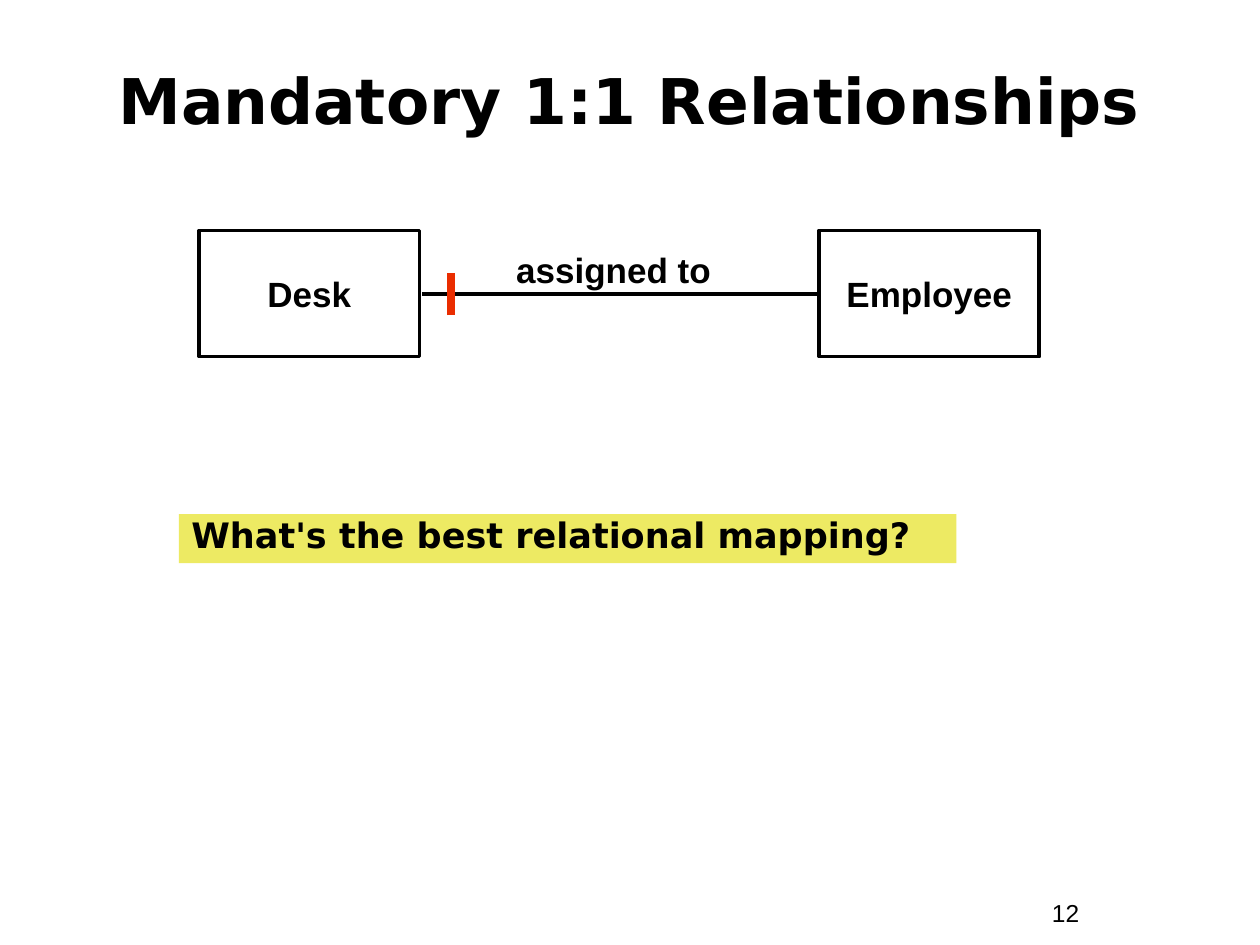
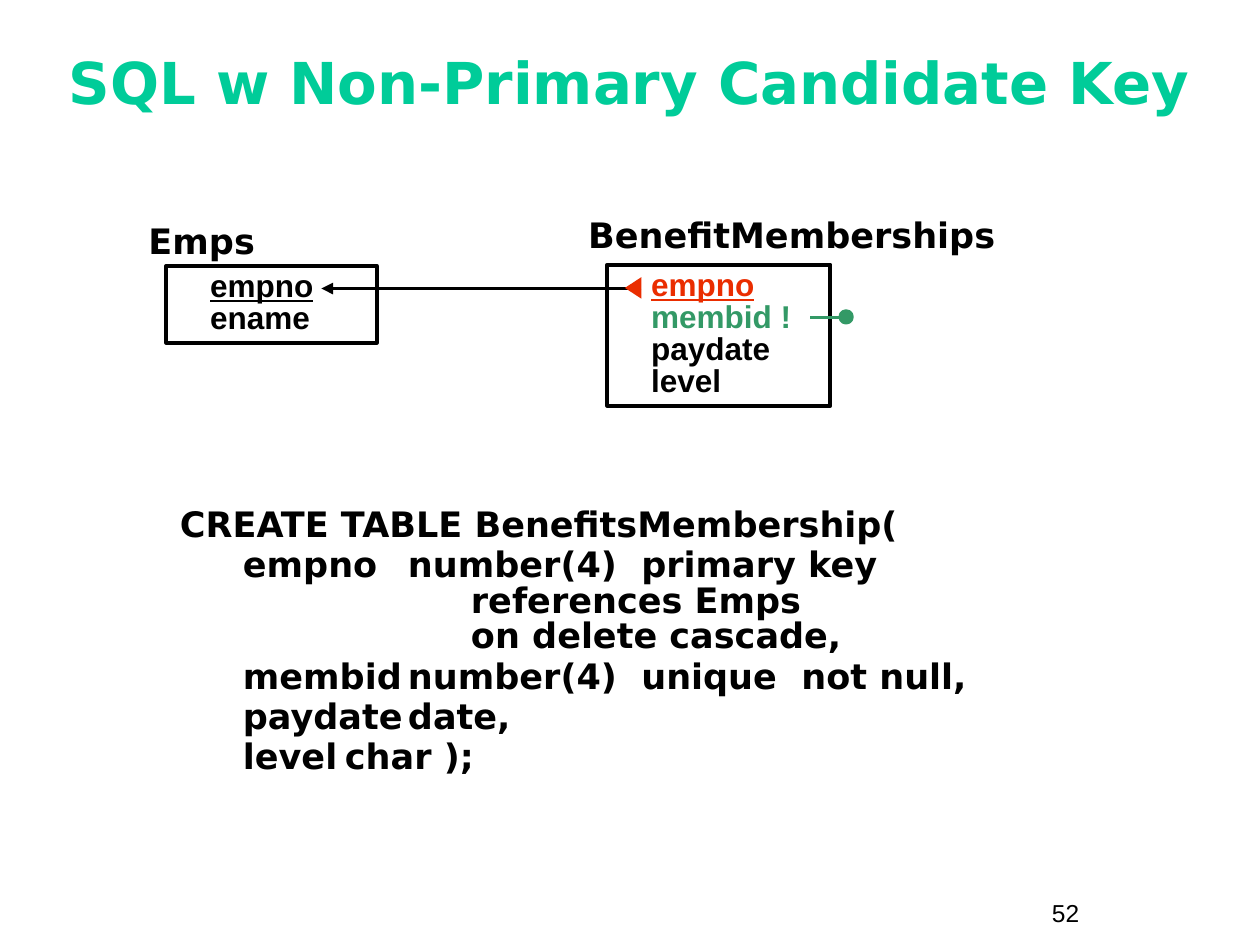
from lxml import etree
from pptx import Presentation
from pptx.dml.color import RGBColor
from pptx.enum.shapes import MSO_CONNECTOR as LINK, MSO_SHAPE as SHAPE
from pptx.enum.text import MSO_ANCHOR as ANCHOR, MSO_AUTO_SIZE as FIT, PP_ALIGN as ALIGN
from pptx.oxml.ns import qn
from pptx.util import Inches, Pt

COLORS = {
    "ink": "000000",
    "accent": "00CC99",
    "highlight": "EDEA63",
    "key": "EA2D00",
    "unique": "339966",
}
SANS, DISPLAY = "Arial", "DejaVu Sans"
RULE = 2.25


class Deck:
    """Holds the shared style and the slide being built."""

    def __init__(self):
        self.prs = Presentation()
        self.prs.slide_width, self.prs.slide_height = Inches(10), Inches(7.5)
        self.slide = None

    def color(self, name):
        return RGBColor.from_string(COLORS[name])

    def start(self, title, number, top, height, size, color="ink", spacing=1.0):
        self.slide = self.prs.slides.add_slide(self.prs.slide_layouts[5])
        heading = self.slide.shapes.title
        heading.left, heading.top = Inches(0.33), Inches(top)
        heading.width, heading.height = Inches(9.33), Inches(height)
        frame = heading.text_frame
        frame.auto_size = FIT.NONE
        frame.vertical_anchor = ANCHOR.MIDDLE
        self.fill_text(frame, [[(title, color)]], DISPLAY, size, ALIGN.CENTER, spacing)
        self.text((8.25, 7.08, 0.92, 0.34), [number], SANS, 14, bold=False)

    def fill_text(self, frame, lines, font, size, align=ALIGN.LEFT, spacing=1.0,
                  bold=True, before=0, indents=((0, 0),), tabs=()):
        """Fill a frame; a line is a string or a list of (text, color, underline) runs."""
        frame.word_wrap = True
        for index, line in enumerate(lines):
            paragraph = frame.add_paragraph() if index else frame.paragraphs[0]
            margin, hanging = indents[min(index, len(indents) - 1)]
            props = paragraph._p.get_or_add_pPr()
            props.set("marL", str(Inches(margin)))
            props.set("indent", str(Inches(hanging)))
            if tabs:
                stops = etree.SubElement(props, qn("a:tabLst"))
                for stop in tabs:
                    etree.SubElement(stops, qn("a:tab"), pos=str(Inches(stop)), algn="l")
            paragraph.alignment = align
            paragraph.line_spacing = spacing
            paragraph.space_before = Pt(before if index else 0)
            runs = [(line, "ink")] if isinstance(line, str) else line
            for words, color, *underline in runs:
                for part, piece in enumerate(words.split("\n")):
                    if part:
                        paragraph.add_line_break()
                    run = paragraph.add_run()
                    run.text = piece
                    run.font.name, run.font.size, run.font.bold = font, Pt(size), bold
                    run.font.underline = bool(underline)
                    run.font.color.rgb = self.color(color)

    def text(self, area, lines, font, size, **style):
        box = self.slide.shapes.add_textbox(*map(Inches, area))
        self.fill_text(box.text_frame, lines, font, size, **style)

    def shape(self, kind, area, fill=None, line=None):
        shape = self.slide.shapes.add_shape(kind, *map(Inches, area))
        shape.shadow.inherit = False
        if fill:
            shape.fill.solid()
            shape.fill.fore_color.rgb = self.color(fill)
        else:
            shape.fill.background()
        if line:
            shape.line.color.rgb = self.color(line)
            shape.line.width = Pt(RULE)
        else:
            shape.line.fill.background()
        return shape

    def panel(self, area, lines, font, size, fill=None, line=None,
              anchor=ANCHOR.TOP, **style):
        frame = self.shape(SHAPE.RECTANGLE, area, fill, line).text_frame
        frame.vertical_anchor = anchor
        self.fill_text(frame, lines, font, size, **style)

    def line(self, start, end, color="ink", width=RULE, arrow=False):
        link = self.slide.shapes.add_connector(
            LINK.STRAIGHT, *map(Inches, (*start, *end)))
        link.line.color.rgb = self.color(color)
        link.line.width = Pt(width)
        outline = link._element.spPr.find(qn("a:ln"))
        if arrow:
            etree.SubElement(outline, qn("a:tailEnd"), type="triangle")
        etree.SubElement(link._element.spPr, qn("a:effectLst"))


def mandatory_relationships(deck):
    deck.start("Mandatory 1:1 Relationships", "12", 0.33, 0.92, 36)
    for entity, left in (("Desk", 1.58), ("Employee", 6.5)):
        deck.panel((left, 1.83, 1.75, 1), [entity], SANS, 20, line="ink",
                   anchor=ANCHOR.MIDDLE, align=ALIGN.CENTER)
    deck.line((3.35, 2.33), (6.49, 2.33))
    deck.text((3.83, 1.92, 2.08, 0.44), ["assigned to"], SANS, 20, align=ALIGN.CENTER)
    deck.panel((1.42, 4.08, 6.17, 0.39), ["What's the best relational mapping?"],
               DISPLAY, 20, fill="highlight", spacing=0.85, indents=((0.38, -0.38),))
    deck.line((3.58, 2.5), (3.58, 2.17), "key", 4.5)


def candidate_key(deck):
    deck.start("SQL w Non-Primary Candidate Key", "52", 0.36, 0.67, 33, "accent", 0.8)
    statement = [
        "CREATE TABLE BenefitsMembership(",
        "empno\tnumber(4)  primary key\n\t\t\treferences Emps\n\t\t\ton delete cascade,",
        "membid\tnumber(4)  unique  not null,",
        "paydate\tdate,",
        "level\tchar );",
    ]
    deck.text((1.33, 3.99, 7.17, 2.54), statement, DISPLAY, 20, spacing=0.85,
              before=2.5, indents=((0.38, -0.38), (0.81, -0.31)), tabs=range(8))

    deck.text((1.08, 1.69, 2.15, 0.44), ["Emps"], DISPLAY, 20)
    deck.text((4.57, 1.7, 4.85, 0.39), ["BenefitMemberships"], DISPLAY, 20, spacing=0.85)
    emps = [[("empno", "ink", True)], "ename"]
    memberships = [[("empno", "key", True)], [("membid !", "unique")], "paydate", "level"]
    for area, columns in (((1.32, 2.11, 1.67, 0.61), emps),
                          ((4.82, 2.1, 1.77, 1.12), memberships)):
        deck.panel(area, columns, SANS, 18, line="ink", spacing=0.85,
                   indents=((0.25, 0),))

    deck.line((5.09, 2.29), (2.55, 2.29), arrow=True)
    deck.shape(SHAPE.ISOSCELES_TRIANGLE, (4.94, 2.22, 0.17, 0.13), "key").rotation = 270
    deck.shape(SHAPE.OVAL, (6.67, 2.47, 0.09, 0.09), "unique", "unique")
    deck.line((6.68, 2.52), (6.43, 2.52), "unique")


def main():
    deck = Deck()
    mandatory_relationships(deck)
    candidate_key(deck)
    deck.prs.save("out.pptx")


if __name__ == "__main__":
    main()
